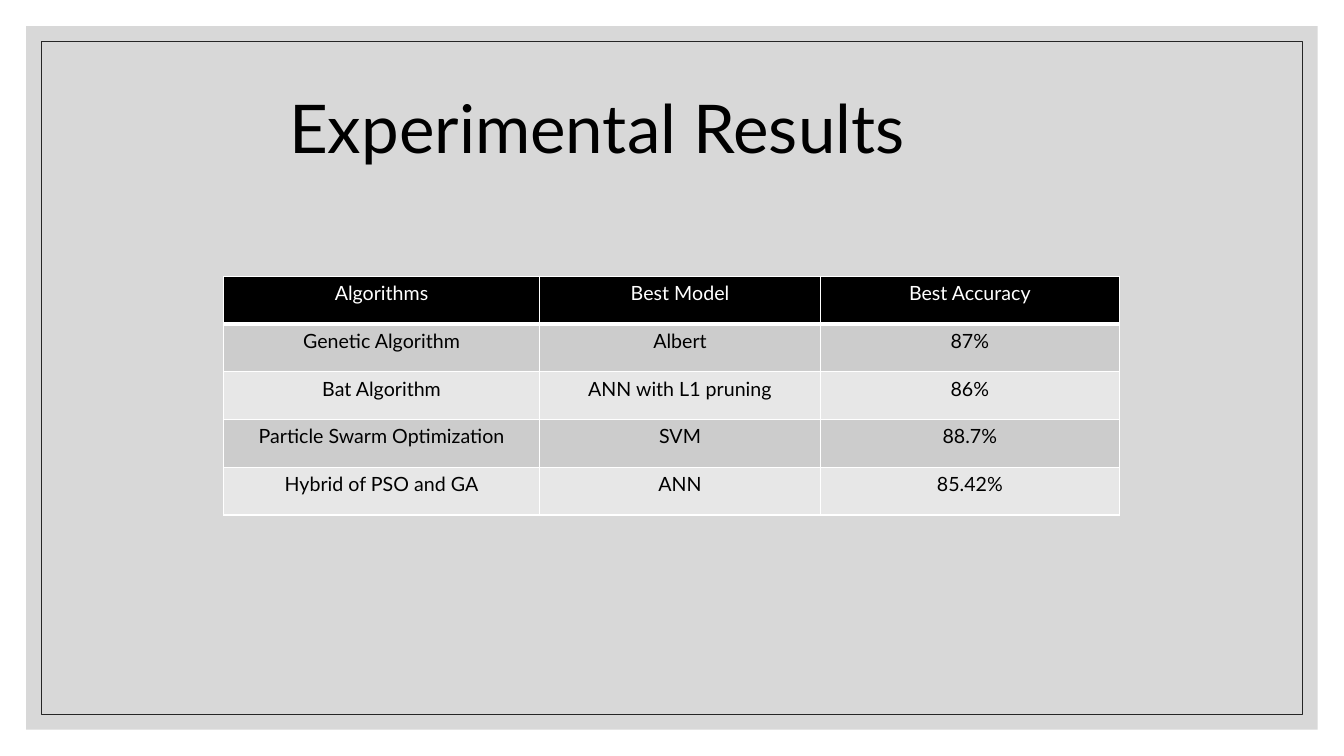
from dataclasses import dataclass

from lxml.etree import SubElement
from pptx import Presentation
from pptx.dml.color import RGBColor
from pptx.enum.shapes import MSO_SHAPE
from pptx.enum.text import MSO_AUTO_SIZE, PP_ALIGN
from pptx.oxml.ns import qn
from pptx.util import Inches, Pt


@dataclass(frozen=True)
class Theme:
    font: str = "Lato"
    panel: str = "BFBFBF"
    frame: str = "262626"
    ink: str = "000000"
    paper: str = "FFFFFF"
    bands: tuple = ("CCCCCC", "E7E7E7")
    title: int = 48
    body: int = 14


THEME = Theme()
WIDTHS = (3.13, 2.79, 2.96)
ROWS = (
    ("Algorithms", "Best Model", "Best Accuracy"),
    ("Genetic Algorithm", "Albert", "87%"),
    ("Bat Algorithm", "ANN with L1 pruning", "86%"),
    ("Particle Swarm Optimization", "SVM", "88.7%"),
    ("Hybrid of PSO and GA", "ANN", "85.42%"),
)


def paint(fill, color):
    fill.solid()
    fill.fore_color.rgb = RGBColor.from_string(color)


def write(frame, text, size=THEME.body, color=THEME.ink, align=PP_ALIGN.LEFT):
    para = frame.paragraphs[0]
    para.alignment = align
    run = para.add_run()
    run.text = text
    run.font.name = THEME.font
    run.font.size = Pt(size)
    run.font.color.rgb = RGBColor.from_string(color)


def add_rect(slide, inset, fill=None, alpha=100, line=None):
    rect = slide.shapes.add_shape(
        MSO_SHAPE.RECTANGLE, Inches(inset), Inches(inset),
        Inches(13.33 - 2 * inset), Inches(7.5 - 2 * inset))
    rect.shadow.inherit = False
    if fill:
        paint(rect.fill, fill)
        tint = rect.fill._xPr.find(qn("a:solidFill"))[0]
        SubElement(tint, qn("a:alpha"), val=str(alpha * 1000))
    else:
        rect.fill.background()
    if line:
        paint(rect.line.fill, line)
        rect.line.width = Pt(0.5)
    else:
        rect.line.fill.background()


def add_title(slide, text):
    box = slide.shapes.add_textbox(
        Inches(2.77), Inches(0.81), Inches(7.12), Inches(0.91))
    box.text_frame.word_wrap = False
    box.text_frame.auto_size = MSO_AUTO_SIZE.SHAPE_TO_FIT_TEXT
    write(box.text_frame, text, size=THEME.title)


def set_edges(cell, top, bottom):
    props = cell._tc.get_or_add_tcPr()
    for side, width in (("L", 1), ("R", 1), ("T", top), ("B", bottom)):
        edge = SubElement(props, qn(f"a:ln{side}"), w=str(Pt(width)))
        fill = SubElement(edge, qn("a:solidFill"))
        SubElement(fill, qn("a:srgbClr"), val=THEME.paper)


def add_grid(slide, rows, widths):
    table = slide.shapes.add_table(
        len(rows), len(widths), Inches(2.22), Inches(2.74),
        Inches(sum(widths)), Inches(2.37)).table
    table.first_row = False
    table.horz_banding = False
    for col, width in zip(table.columns, widths):
        col.width = Inches(width)
    for i, row in enumerate(rows):
        head = i == 0
        for j, text in enumerate(row):
            cell = table.cell(i, j)
            set_edges(cell, top=3 if i == 1 else 1, bottom=3 if head else 1)
            paint(cell.fill, THEME.ink if head else THEME.bands[(i - 1) % 2])
            write(cell.text_frame, text, align=PP_ALIGN.CENTER,
                  color=THEME.paper if head else THEME.ink)


def main():
    deck = Presentation()
    deck.slide_width = Inches(13.33)
    deck.slide_height = Inches(7.5)
    slide = deck.slides.add_slide(deck.slide_layouts[6])
    paint(slide.background.fill, THEME.paper)
    add_rect(slide, 0.26, fill=THEME.panel, alpha=60)
    add_rect(slide, 0.41, line=THEME.frame)
    add_grid(slide, ROWS, WIDTHS)
    add_title(slide, "Experimental Results")
    deck.save("out.pptx")


if __name__ == "__main__":
    main()
